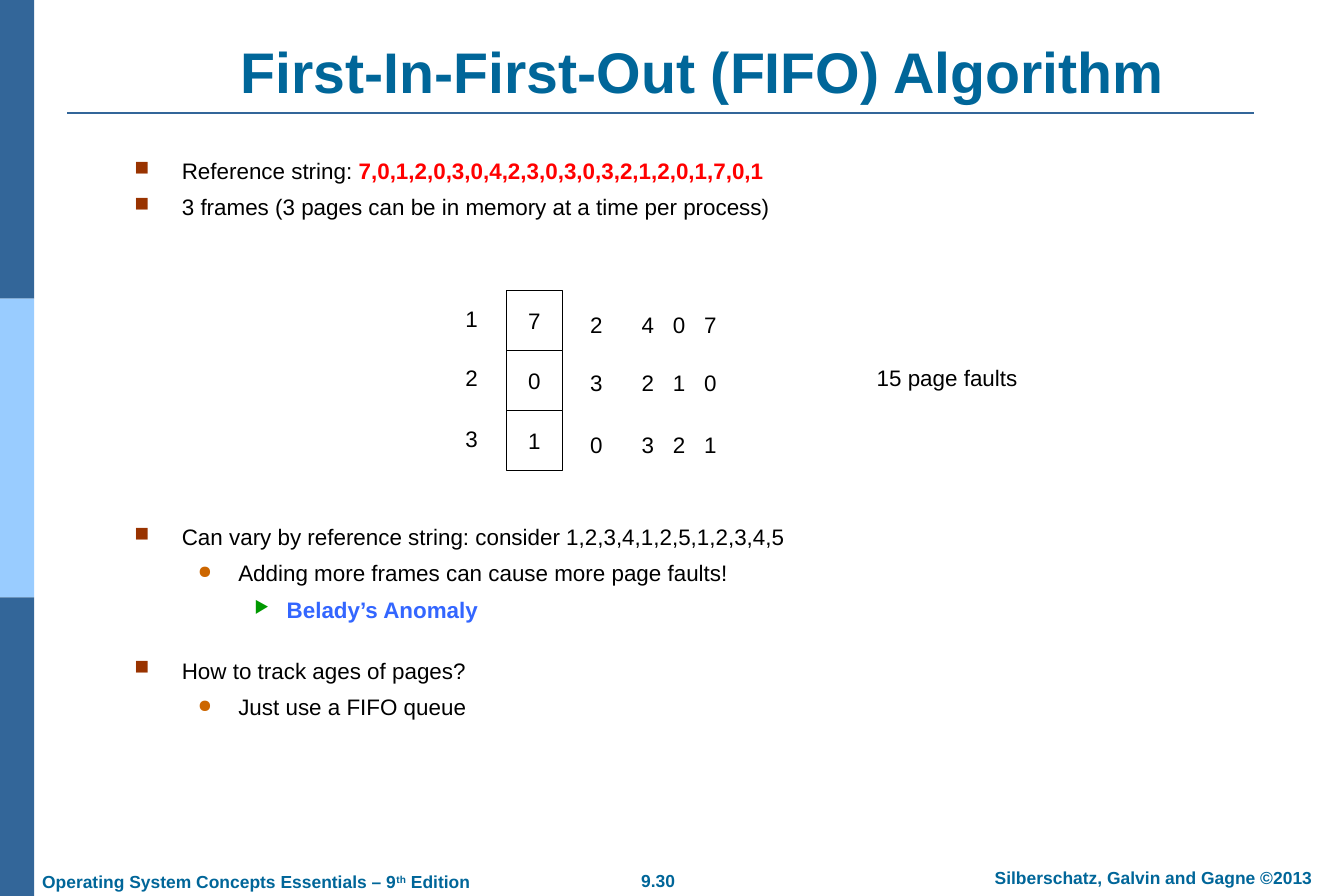
from dataclasses import dataclass
from typing import Optional

from lxml import etree
from pptx import Presentation
from pptx.dml.color import RGBColor
from pptx.enum.shapes import MSO_CONNECTOR, MSO_SHAPE
from pptx.enum.text import MSO_ANCHOR, PP_ALIGN
from pptx.oxml.ns import qn
from pptx.util import Inches, Pt

RECT = MSO_SHAPE.RECTANGLE
STRAIGHT = MSO_CONNECTOR.STRAIGHT
TOP, MIDDLE, BOTTOM = MSO_ANCHOR.TOP, MSO_ANCHOR.MIDDLE, MSO_ANCHOR.BOTTOM
LEFT, CENTER = PP_ALIGN.LEFT, PP_ALIGN.CENTER

FONT = "Arial"
COLORS = {
    "bar": "336699", "bar_light": "99CCFF", "heading": "006699",
    "text": "000000", "white": "FFFFFF", "red": "FF0000", "term": "3366FF",
    "square": "993300", "dot": "CC6600", "triangle": "009900",
}


@dataclass(frozen=True)
class Run:
    text: str
    color: str = "text"
    bold: bool = False
    superscript: bool = False


@dataclass(frozen=True)
class Level:
    char: str
    color: str
    percent: int
    margin: float
    hanging: float


@dataclass(frozen=True)
class Bullet:
    level: int
    runs: tuple[Run, ...]
    before: float = 7.9


@dataclass(frozen=True)
class Label:
    left: float
    top: float
    width: float
    height: float
    runs: tuple[Run, ...]
    size: float = 18
    align: PP_ALIGN = CENTER
    anchor: MSO_ANCHOR = MIDDLE
    wrap: bool = False
    tab_step: Optional[float] = None


@dataclass(frozen=True)
class Frame:
    number: str
    first_page: str
    second_page: str
    later_pages: str
    label_top: float


LEVELS = (
    Level("■", "square", 90, 0.53, 0.53),
    Level("●", "dot", 80, 1.16, 0.45),
    Level("▶", "triangle", 75, 1.7, 0.36),
)
BULLETS = (
    Bullet(0, (Run("Reference string: "),
               Run("7,0,1,2,0,3,0,4,2,3,0,3,0,3,2,1,2,0,1,7,0,1", "red", True)), 0),
    Bullet(0, (Run("3 frames (3 pages can be in memory at a time per process)"),)),
    Bullet(0, (Run("Can vary by reference string: consider 1,2,3,4,1,2,5,1,2,3,4,5"),), 243),
    Bullet(1, (Run("Adding more frames can cause more page faults!"),)),
    Bullet(2, (Run("Belady’s Anomaly", "term", True),)),
    Bullet(0, (Run("How to track ages of pages?"),), 27),
    Bullet(1, (Run("Just use a FIFO queue"),)),
)
FRAMES = (
    Frame("1", "7", "2", "4\t0\t7", 3.34),
    Frame("2", "0", "3", "2\t1\t0", 3.99),
    Frame("3", "1", "0", "3\t2\t1", 4.68),
)
FRAME_LEFT, FRAME_TOP, FRAME_W, FRAME_H = 5.65, 3.24, 0.63, 0.67
LABEL_W, LABEL_H = 0.43, 0.44
LATER_DROP = 0.06
BAR_W, BAR_H = 0.38, 10 / 3


def heading_run(text: str, superscript: bool = False) -> Run:
    return Run(text, "heading", True, superscript)


LABELS = (
    Label(6.65, 9.64, 1.39, 0.38, (heading_run("9.30"),), 14, anchor=TOP),
    Label(10.65, 9.61, 4.45, 0.38, (heading_run("Silberschatz, Galvin and Gagne ©2013"),),
          14, anchor=TOP),
    Label(0.33, 9.65, 5.06, 0.38,
          (heading_run("Operating System Concepts Essentials – 9"),
           heading_run("th", True), heading_run(" Edition")), 14, LEFT, TOP),
    Label(1.42, 0.4, 12.83, 0.84, (heading_run("First-In-First-Out (FIFO) Algorithm"),),
          46, anchor=BOTTOM, wrap=True),
    Label(9.64, 3.99, 1.86, LABEL_H, (Run("15 page faults"),)),
)


def rgb(name: str) -> RGBColor:
    return RGBColor.from_string(COLORS[name])


def add_runs(p, runs: tuple[Run, ...], size: float) -> None:
    for run in runs:
        r = p.add_run()
        r.text = run.text
        r.font.name, r.font.size, r.font.bold = FONT, Pt(size), run.bold
        r.font.color.rgb = rgb(run.color)
        if run.superscript:
            r.font._element.set("baseline", "30000")


def set_frame(tf, anchor: MSO_ANCHOR, wrap: bool) -> None:
    tf.margin_left = tf.margin_right = Inches(0.14)
    tf.margin_top = tf.margin_bottom = Inches(0.07)
    tf.vertical_anchor, tf.word_wrap = anchor, wrap


def add_rect(shapes, left: float, top: float, width: float, height: float, fill: str):
    sp = shapes.add_shape(RECT, Inches(left), Inches(top), Inches(width), Inches(height))
    sp.shadow.inherit = False
    sp.fill.solid()
    sp.fill.fore_color.rgb = rgb(fill)
    sp.line.fill.background()
    return sp


def add_label(shapes, label: Label) -> None:
    sp = shapes.add_textbox(Inches(label.left), Inches(label.top),
                            Inches(label.width), Inches(label.height))
    set_frame(sp.text_frame, label.anchor, label.wrap)
    p = sp.text_frame.paragraphs[0]
    p.alignment = label.align
    if label.tab_step:
        tabs = etree.SubElement(p._p.get_or_add_pPr(), qn("a:tabLst"))
        for i in (1, 2):
            etree.SubElement(tabs, qn("a:tab"), pos=str(Inches(i * label.tab_step)), algn="l")
    add_runs(p, label.runs, label.size)


def add_title_rule(shapes) -> None:
    line = shapes.add_connector(STRAIGHT, Inches(0.75), Inches(1.26), Inches(14), Inches(1.26))
    line.line.color.rgb = rgb("bar")
    line.line.width = Pt(1.5)
    etree.SubElement(line._element.spPr, qn("a:effectLst"))


def set_bullet(p, level: Level) -> None:
    pPr = p._p.get_or_add_pPr()
    pPr.set("marL", str(Inches(level.margin)))
    pPr.set("indent", str(-Inches(level.hanging)))
    color = etree.SubElement(pPr, qn("a:buClr"))
    etree.SubElement(color, qn("a:srgbClr"), val=COLORS[level.color])
    etree.SubElement(pPr, qn("a:buSzPct"), val=str(level.percent * 1000))
    etree.SubElement(pPr, qn("a:buChar"), char=level.char)


def add_body(shapes) -> None:
    sp = shapes.add_textbox(Inches(1.36), Inches(1.68), Inches(11.53), Inches(7.47))
    tf = sp.text_frame
    set_frame(tf, TOP, True)
    for i, bullet in enumerate(BULLETS):
        p = tf.add_paragraph() if i else tf.paragraphs[0]
        p.level = bullet.level
        set_bullet(p, LEVELS[bullet.level])
        p.space_before = Pt(bullet.before)
        add_runs(p, bullet.runs, 18)


def add_frame_row(shapes, index: int, frame: Frame) -> None:
    """Draw one memory frame with its number and the pages it holds over time."""
    sp = add_rect(shapes, FRAME_LEFT, FRAME_TOP + index * FRAME_H, FRAME_W, FRAME_H, "white")
    sp.line.color.rgb = rgb("text")
    sp.line.width = Pt(0.75)
    set_frame(sp.text_frame, MIDDLE, False)
    p = sp.text_frame.paragraphs[0]
    p.alignment = CENTER
    add_runs(p, (Run(frame.first_page),), 18)

    later_top = frame.label_top + LATER_DROP
    add_label(shapes, Label(5.05, frame.label_top, LABEL_W, LABEL_H, (Run(frame.number),)))
    add_label(shapes, Label(6.44, later_top, LABEL_W, LABEL_H, (Run(frame.second_page),)))
    add_label(shapes, Label(7.02, later_top, 2, LABEL_H, (Run(frame.later_pages),),
                            align=LEFT, wrap=True, tab_step=0.35))


def main() -> None:
    prs = Presentation()
    prs.slide_width, prs.slide_height = Inches(15), Inches(10)
    shapes = prs.slides.add_slide(prs.slide_layouts[6]).shapes
    for i, fill in enumerate(("bar", "bar_light", "bar")):
        add_rect(shapes, 0, i * BAR_H, BAR_W, BAR_H, fill)
    add_title_rule(shapes)
    add_body(shapes)
    for label in LABELS:
        add_label(shapes, label)
    for i, frame in enumerate(FRAMES):
        add_frame_row(shapes, i, frame)
    prs.save("out.pptx")


if __name__ == "__main__":
    main()
